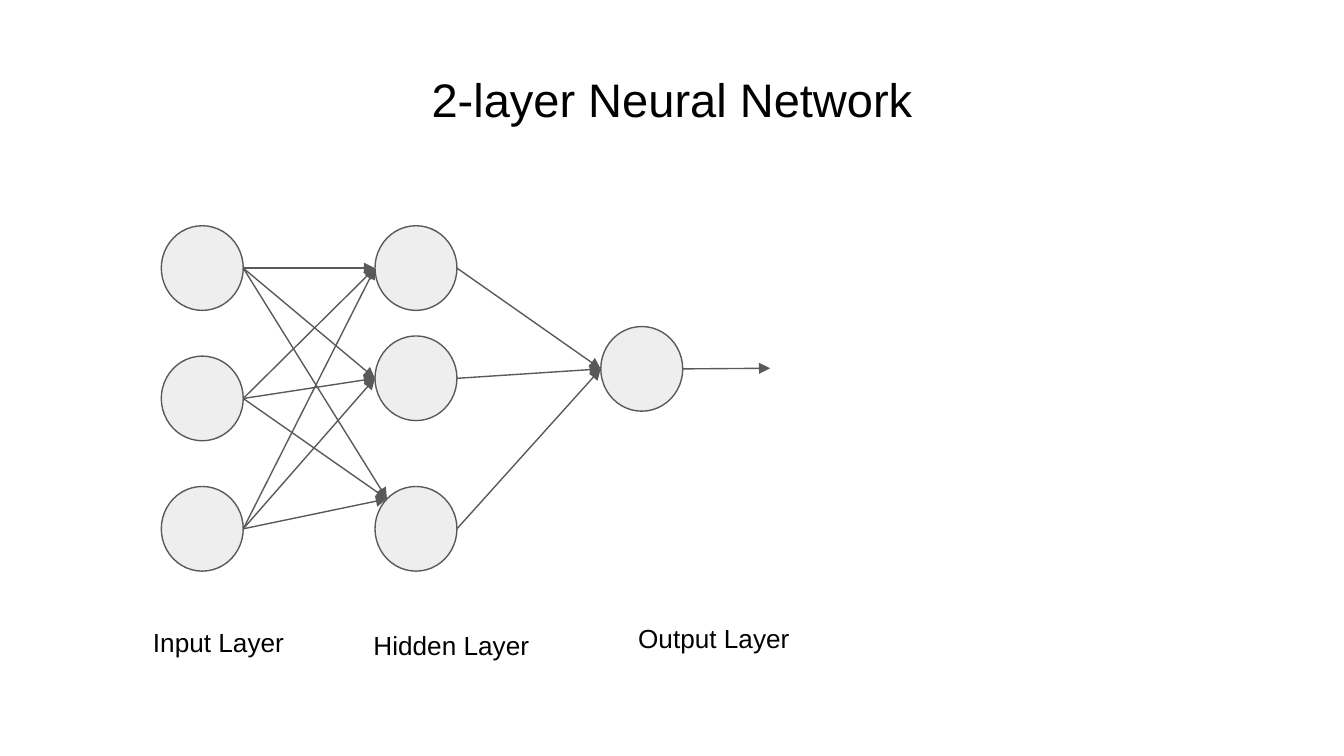
"""Build a slide showing a two-layer neural network."""
from dataclasses import dataclass
from itertools import product
from math import sqrt

from lxml.etree import SubElement
from pptx import Presentation
from pptx.dml.color import RGBColor
from pptx.enum.shapes import MSO_CONNECTOR as Connector, MSO_SHAPE as Shape
from pptx.enum.text import MSO_ANCHOR as Anchor, PP_ALIGN as Align
from pptx.oxml.ns import qn
from pptx.util import Inches, Pt


@dataclass(frozen=True)
class Theme:
    font: str = "Arial"
    ink: str = "000000"
    node: str = "EEEEEE"
    edge: str = "595959"
    title_size: float = 25.2
    label_size: float = 14
    edge_width: float = 0.75


THEME = Theme()
SLIDE_W = 10
SLIDE_H = SLIDE_W * 9 / 16
NODE_W, NODE_H = 0.61, 0.63
INSET = 0.1
TITLE = ("2-layer Neural Network", (0.34, 0.42, 9.32, 0.63))
LAYERS = [
    {"label": "Input Layer", "label_box": (1.04, 4.56, 1.26, 0.44),
     "left": 1.2, "tops": [1.68, 2.65, 3.62]},
    {"label": "Hidden Layer", "label_box": (2.68, 4.58, 1.58, 0.44),
     "left": 2.79, "tops": [1.68, 2.5, 3.62], "corner_entry": 2},
    {"label": "Output Layer", "label_box": (4.65, 4.53, 1.64, 0.44),
     "left": 4.47, "tops": [2.43]},
]
RESULT = (5.73, 2.74)


def color(value):
    return RGBColor.from_string(value)


def add_label(slide, words, box, size, align=Align.LEFT, anchor=Anchor.TOP):
    frame = slide.shapes.add_textbox(*map(Inches, box)).text_frame
    frame.word_wrap = True
    frame.vertical_anchor = anchor
    frame.margin_left = frame.margin_right = Inches(INSET)
    frame.margin_top = frame.margin_bottom = Inches(INSET)
    paragraph = frame.paragraphs[0]
    paragraph.alignment = align
    run = paragraph.add_run()
    run.text = words
    run.font.name = THEME.font
    run.font.size = Pt(size)
    run.font.color.rgb = color(THEME.ink)


def style_line(line):
    line.color.rgb = color(THEME.edge)
    line.width = Pt(THEME.edge_width)


def add_node(slide, left, top):
    node = slide.shapes.add_shape(
        Shape.OVAL, *map(Inches, (left, top, NODE_W, NODE_H)))
    node.shadow.inherit = False
    node.fill.solid()
    node.fill.fore_color.rgb = color(THEME.node)
    style_line(node.line)


def add_arrow(slide, start, end):
    arrow = slide.shapes.add_connector(
        Connector.STRAIGHT, *map(Inches, (*start, *end)))
    style_line(arrow.line)
    outline = arrow._element.spPr.find(qn("a:ln"))
    SubElement(outline, qn("a:tailEnd"), type="triangle")
    SubElement(arrow._element.spPr, qn("a:effectLst"))


def exits(layer):
    return [(layer["left"] + NODE_W, top + NODE_H / 2) for top in layer["tops"]]


def entries(layer):
    corner = (1 - 1 / sqrt(2)) / 2
    return [
        (layer["left"] + NODE_W * corner, top + NODE_H * corner)
        if row == layer.get("corner_entry")
        else (layer["left"], top + NODE_H / 2)
        for row, top in enumerate(layer["tops"])
    ]


def main():
    deck = Presentation()
    deck.slide_width, deck.slide_height = Inches(SLIDE_W), Inches(SLIDE_H)
    slide = deck.slides.add_slide(deck.slide_layouts[6])
    add_label(slide, *TITLE, THEME.title_size, Align.CENTER, Anchor.MIDDLE)
    for layer in LAYERS:
        for top in layer["tops"]:
            add_node(slide, layer["left"], top)
    for source, target in zip(LAYERS, LAYERS[1:]):
        for start, end in product(exits(source), entries(target)):
            add_arrow(slide, start, end)
    add_arrow(slide, exits(LAYERS[-1])[0], RESULT)
    for layer in LAYERS:
        add_label(slide, layer["label"], layer["label_box"], THEME.label_size)
    deck.save("out.pptx")


if __name__ == "__main__":
    main()
